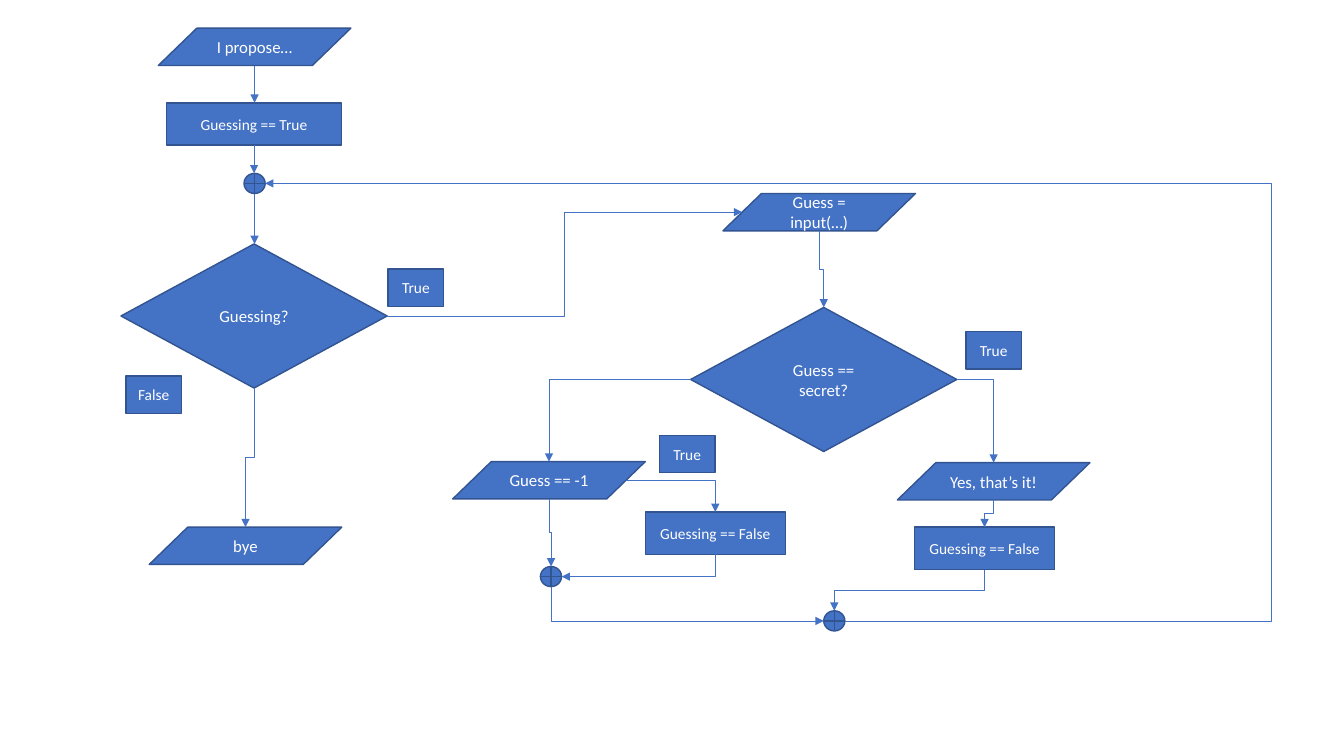
from lxml.etree import SubElement
from pptx import Presentation
from pptx.dml.color import RGBColor
from pptx.enum.shapes import MSO_CONNECTOR as Link, MSO_SHAPE as Preset
from pptx.enum.text import MSO_ANCHOR as Anchor, PP_ALIGN as Align
from pptx.oxml.ns import qn
from pptx.util import Inches, Pt

BLUE, OUTLINE, WHITE = "4472C4", "325491", "FFFFFF"

KINDS = {
    "decision": (Preset.FLOWCHART_DECISION, 2.64, 1.43, 12),
    "data": (Preset.FLOWCHART_DATA, 1.91, 0.37, 12),
    "start": (Preset.FLOWCHART_PROCESS, 1.74, 0.42, 11),
    "step": (Preset.FLOWCHART_PROCESS, 1.39, 0.42, 11),
    "label": (Preset.FLOWCHART_PROCESS, 0.55, 0.37, 11),
    "junction": (Preset.FLOWCHART_OR, 0.21, 0.2, 11),
}
NODES = {
    "propose": ("data", 1.57, 0.28, "I propose…"),
    "begin": ("start", 1.65, 1.02, "Guessing == True"),
    "loop": ("junction", 2.42, 1.72, ""),
    "guessing": ("decision", 1.2, 2.42, "Guessing?"),
    "guessing true": ("label", 3.85, 2.67, "True"),
    "guessing false": ("label", 1.25, 3.73, "False"),
    "bye": ("data", 1.48, 5.23, "bye"),
    "input": ("data", 7.17, 1.92, "Guess = input(…)"),
    "secret": ("decision", 6.85, 3.05, "Guess == secret?"),
    "secret true": ("label", 9.58, 3.29, "True"),
    "quit": ("data", 4.49, 4.58, "Guess == -1"),
    "quit true": ("label", 6.54, 4.32, "True"),
    "quit stop": ("step", 6.4, 5.08, "Guessing == False"),
    "quit join": ("junction", 5.36, 5.62, ""),
    "found": ("data", 8.9, 4.59, "Yes, that’s it!"),
    "found stop": ("step", 9.07, 5.23, "Guessing == False"),
    "end join": ("junction", 8.17, 6.06, ""),
}
ARROWS = [
    ("propose", "bottom", "begin", "top"),
    ("begin", "bottom", "loop", "top"),
    ("loop", "bottom", "guessing", "top"),
    ("guessing", "bottom", "bye", "top"),
    ("guessing", "right", "input", "left"),
    ("input", "bottom", "secret", "top"),
    ("secret", "left", "quit", "top"),
    ("secret", "right", "found", "top"),
    ("quit", "right", "quit stop", "top"),
    ("quit", "bottom", "quit join", "top"),
    ("quit stop", "bottom", "quit join", "right"),
    ("found", "bottom", "found stop", "top"),
    ("found stop", "bottom", "end join", "top"),
    ("quit join", "bottom", "end join", "left"),
    ("end join", "right", "loop", "right"),
]
LOOP_BACK_X = 12.61
SIDES = ("top", "left", "bottom", "right")
SITE_NUMBERS = {"data": (1, 2, 4, 5), "junction": (0, 2, 4, 6)}
TURNS = {
    (False, False, False): (0, False, False),
    (False, False, True): (0, False, True),
    (False, True, False): (180, False, True),
    (False, True, True): (0, True, True),
    (True, True, False): (90, False, False),
    (True, False, False): (270, True, False),
}


def color(value):
    return RGBColor.from_string(value)


def write(shape, text, size=12, font="Calibri", ink=WHITE):
    frame = shape.text_frame
    frame.word_wrap = True
    frame.vertical_anchor = Anchor.MIDDLE
    para = frame.paragraphs[0]
    para.alignment = Align.CENTER
    span = para.add_run()
    span.text = text
    span.font.size = Pt(size)
    span.font.name = font
    span.font.color.rgb = color(ink)


def add_node(page, kind, left, top, text):
    preset, width, height, size = KINDS[kind]
    box = page.shapes.add_shape(preset, *map(Inches, (left, top, width, height)))
    box.shadow.inherit = False
    box.fill.solid()
    box.fill.fore_color.rgb = color(BLUE)
    box.line.color.rgb = color(OUTLINE)
    box.line.width = Pt(1)
    if text:
        write(box, text, size=size)
    return box


def site(name, side):
    kind, left, top, _ = NODES[name]
    _, width, height, _ = KINDS[kind]
    inset = 0.1 if kind == "data" else 0
    across, down = {"top": (0.5, 0), "left": (inset, 0.5),
                    "bottom": (0.5, 1), "right": (1 - inset, 0.5)}[side]
    return left + across * width, top + down * height


def glue(arrow, tag, box, name, side):
    numbers = SITE_NUMBERS.get(NODES[name][0], range(4))
    ends = arrow._element.find(f"{qn('p:nvCxnSpPr')}/{qn('p:cNvCxnSpPr')}")
    SubElement(ends, qn(tag), id=str(box.shape_id),
               idx=str(numbers[SIDES.index(side)]))


def bend(arrow, start, end, from_side, to_side):
    dx, dy = end[0] - start[0], end[1] - start[1]
    upright = from_side in ("top", "bottom")
    turn, flip_h, flip_v = TURNS[upright, dx < 0, dy < 0]
    width, height = (abs(dy), abs(dx)) if upright else (abs(dx), abs(dy))
    arrow.left = Inches((start[0] + end[0] - width) / 2)
    arrow.top = Inches((start[1] + end[1] - height) / 2)
    arrow.width, arrow.height = Inches(width), Inches(height)
    frame = arrow._element.spPr.find(qn("a:xfrm"))
    for key, value in (("rot", turn * 60000), ("flipH", int(flip_h)), ("flipV", int(flip_v))):
        frame.set(key, str(value))
    outline = arrow._element.spPr.find(qn("a:prstGeom"))
    if upright != (to_side in ("top", "bottom")):
        outline.set("prst", "bentConnector2")
    elif from_side == to_side:
        share = round((LOOP_BACK_X - start[0]) / dx * 100000)
        SubElement(outline.find(qn("a:avLst")), qn("a:gd"), name="adj1", fmla=f"val {share}")


def add_arrow(page, boxes, source, from_side, target, to_side):
    start, end = site(source, from_side), site(target, to_side)
    straight = abs(start[0] - end[0]) < 0.015
    if straight:
        end = (start[0], end[1])
    style = Link.STRAIGHT if straight else Link.ELBOW
    arrow = page.shapes.add_connector(style, *map(Inches, start + end))
    if not straight:
        bend(arrow, start, end, from_side, to_side)
    glue(arrow, "a:stCxn", boxes[source], source, from_side)
    glue(arrow, "a:endCxn", boxes[target], target, to_side)
    arrow.line.color.rgb = color(BLUE)
    arrow.line.width = Pt(0.5)
    SubElement(arrow.line._get_or_add_ln(), qn("a:tailEnd"), type="triangle")
    SubElement(arrow._element.spPr, qn("a:effectLst"))


def main():
    deck = Presentation()
    deck.slide_width, deck.slide_height = Inches(13.33), Inches(7.5)
    page = deck.slides.add_slide(deck.slide_layouts[6])
    boxes = {name: add_node(page, *node) for name, node in NODES.items()}
    for arrow in ARROWS:
        add_arrow(page, boxes, *arrow)
    deck.save("out.pptx")


if __name__ == "__main__":
    main()
